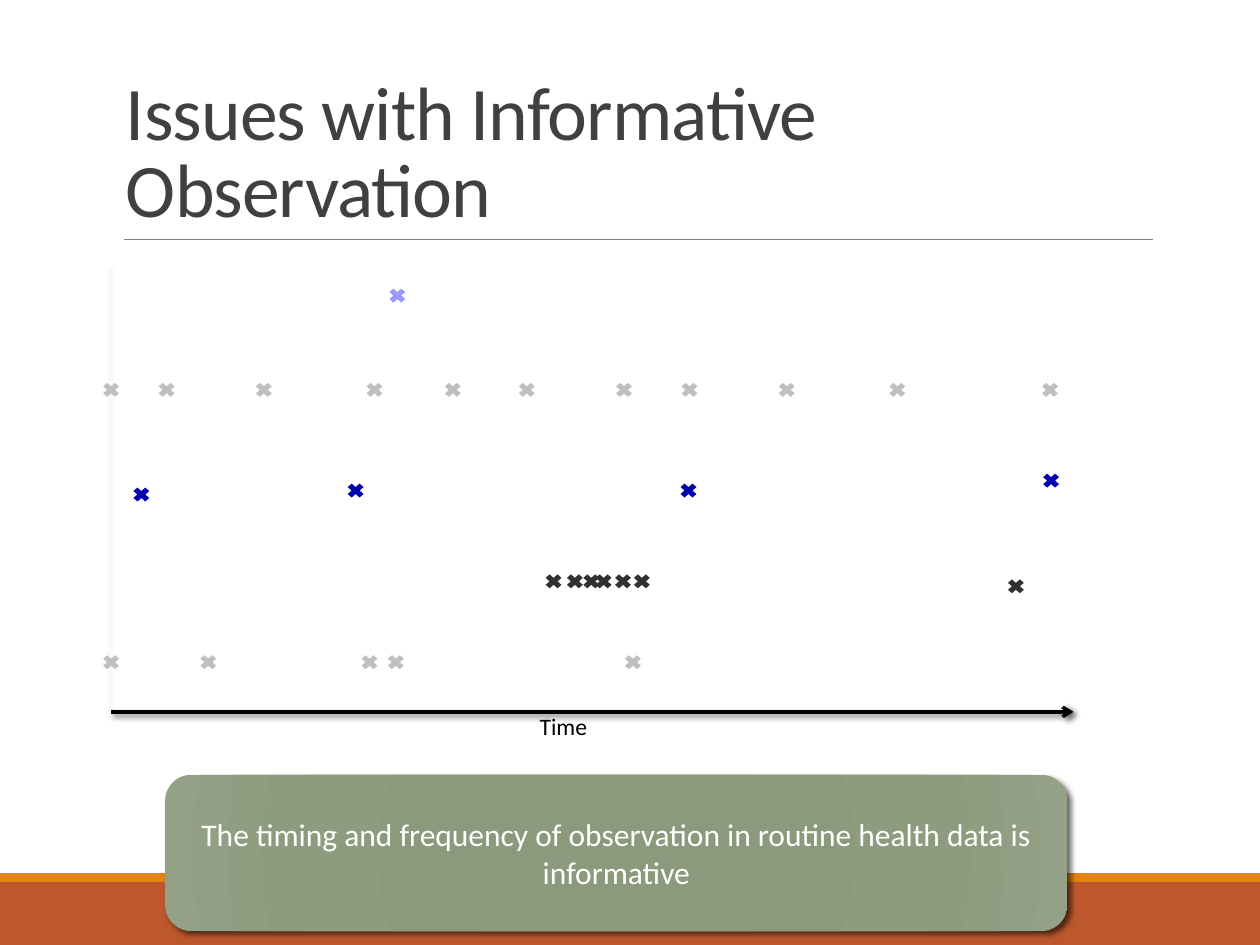
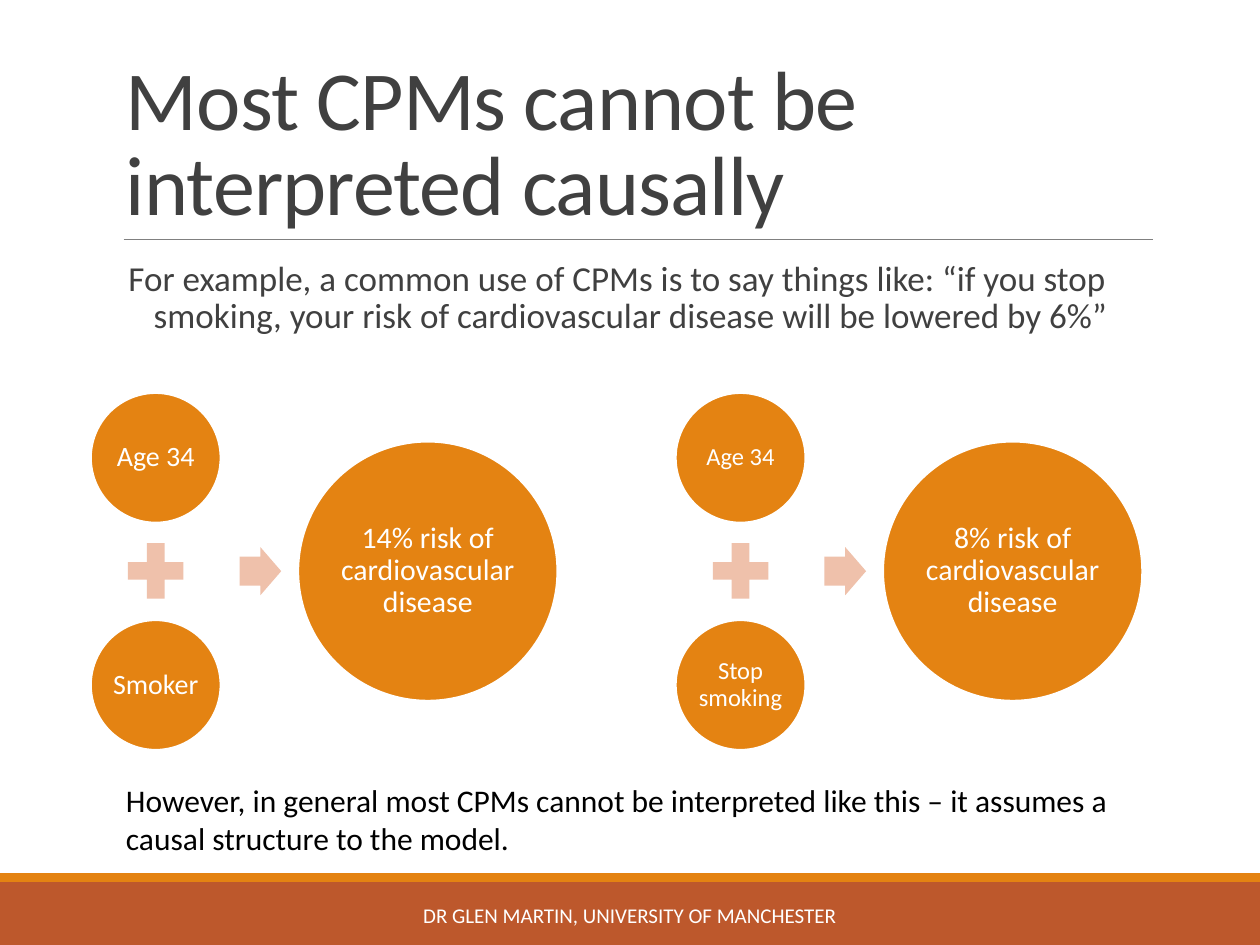
"""Build two slides on informative observation and causal reading of CPMs."""
from dataclasses import dataclass

import pptx
import pptx.dml.color
import pptx.enum.shapes
import pptx.enum.text
import pptx.oxml
import pptx.oxml.ns
import pptx.shapes.base
import pptx.slide
import pptx.text.text
import pptx.util

Cm = pptx.util.Cm
Pt = pptx.util.Pt
Kind = pptx.enum.shapes.MSO_SHAPE
Align = pptx.enum.text.PP_ALIGN
Anchor = pptx.enum.text.MSO_ANCHOR
Slide = pptx.slide.Slide
Base = pptx.shapes.base.BaseShape

FONT = "Calibri"
DARK, BLACK, WHITE = "404040", "000000", "FFFFFF"
RUST, ORANGE, PEACH = "BD582C", "E48312", "EFC1AB"
GREY, COAL, NAVY, LILAC = "BFBFBF", "313131", "0000AD", "9999FF"
RULE, PALE = "808080", "F9F9F9"
SAGE = ((0, "8A987B"), (34, "8B997D"), (70, "8D9C7E"), (100, "94A187"))
NS = pptx.oxml.ns.nsdecls("a")
CROSS = ((0, 1), (1, 0), (2, 1), (3, 0), (4, 1), (3, 2),
         (4, 3), (3, 4), (2, 3), (1, 4), (0, 3), (1, 2))


@dataclass(frozen=True)
class Box:
    left: float
    top: float
    width: float
    height: float

    def spread(self) -> tuple:
        return Cm(self.left), Cm(self.top), Cm(self.width), Cm(self.height)


@dataclass(frozen=True)
class Style:
    size: float
    ink: str = WHITE
    align: Align = Align.LEFT
    anchor: Anchor = Anchor.TOP
    space: float = 1.0
    pads: tuple = (0.25, 0.13, 0.25, 0.13)
    wrap: bool = True
    track: int = 0
    indent: tuple = (0, 0)


@dataclass(frozen=True)
class Row:
    ink: str
    top: float
    lefts: tuple


@dataclass(frozen=True)
class Model:
    left: float
    habit: str
    risk: str
    size: int


ROWS = (
    Row(LILAC, 5.82, (7.85,)),
    Row(GREY, 7.72, (2.08, 3.2, 5.16, 7.39, 8.97, 10.46, 12.42, 13.74, 15.7, 17.93, 21.01)),
    Row(NAVY, 9.55, (21.03,)),
    Row(NAVY, 9.75, (7.01, 13.72)),
    Row(NAVY, 9.83, (2.69,)),
    Row(COAL, 11.58, (11, 11.43, 11.76, 12.01, 12.4, 12.78)),
    Row(COAL, 11.68, (20.32,)),
    Row(GREY, 13.21, (2.08, 4.04, 7.29, 7.82, 12.6)),
)
MODELS = (
    Model(1.83, "Smoker", "14% risk of cardiovascular disease", 16),
    Model(13.62, "Stop smoking", "8% risk of cardiovascular disease", 14),
)


def tint(code: str) -> pptx.dml.color.RGBColor:
    return pptx.dml.color.RGBColor.from_string(code)


def write(shape: Base, text: str, style: Style) -> None:
    frame = shape.text_frame
    frame.text = text
    frame.word_wrap = style.wrap
    frame.vertical_anchor = style.anchor
    (frame.margin_left, frame.margin_top,
     frame.margin_right, frame.margin_bottom) = map(Cm, style.pads)
    for para in frame.paragraphs:
        para.alignment = style.align
        para.line_spacing = style.space
        props = para._p.get_or_add_pPr()
        props.set("marL", str(Cm(style.indent[0])))
        props.set("indent", str(Cm(style.indent[1])))
        for run in para.runs:
            run.font.name = FONT
            run.font.size = Pt(style.size)
            run.font.color.rgb = tint(style.ink)
            run._r.get_or_add_rPr().set("spc", str(style.track))


def label(slide: Slide, box: Box, text: str, style: Style) -> None:
    write(slide.shapes.add_textbox(*box.spread()), text, style)


def paint(shape: Base, fill: str, edge: str = "") -> None:
    shape.shadow.inherit = False
    shape.fill.solid()
    shape.fill.fore_color.rgb = tint(fill)
    if edge:
        shape.line.color.rgb = tint(edge)
        shape.line.width = Pt(1.25)
    else:
        shape.line.fill.background()


def block(slide: Slide, kind: Kind, box: Box, fill: str, edge: str = "") -> Base:
    shape = slide.shapes.add_shape(kind, *box.spread())
    paint(shape, fill, edge)
    return shape


def shade(shape: Base, blur: float = 0) -> None:
    props = shape.element.spPr
    for old in props.findall(pptx.oxml.ns.qn("a:effectLst")):
        props.remove(old)
    glow = (f'<a:outerShdw blurRad="{Pt(blur)}" dist="{Pt(2)}" dir="2700000" '
            f'rotWithShape="0"><a:srgbClr val="{BLACK}"><a:alpha val="60000"/>'
            '</a:srgbClr></a:outerShdw>') if blur else ""
    props.append(pptx.oxml.parse_xml(f"<a:effectLst {NS}>{glow}</a:effectLst>"))


def blend(shape: Base, stops: tuple) -> None:
    marks = "".join(f'<a:gs pos="{at * 1000}"><a:srgbClr val="{code}"/></a:gs>'
                    for at, code in stops)
    fill = pptx.oxml.parse_xml(
        f'<a:gradFill {NS} rotWithShape="1"><a:gsLst>{marks}</a:gsLst>'
        '<a:path path="circle"><a:fillToRect l="100000" t="100000" '
        'r="100000" b="100000"/></a:path></a:gradFill>')
    props = shape.element.spPr
    props.replace(props.find(pptx.oxml.ns.qn("a:solidFill")), fill)


def stroke(slide: Slide, start: tuple, end: tuple, ink: str, width: float,
           blur: float = 0, arrow: bool = False) -> None:
    line = slide.shapes.add_connector(
        pptx.enum.shapes.MSO_CONNECTOR.STRAIGHT, *map(Cm, start + end))
    line.line.color.rgb = tint(ink)
    line.line.width = Pt(width)
    if arrow:
        line.line._get_or_add_ln().append(
            pptx.oxml.parse_xml(f'<a:tailEnd {NS} type="arrow"/>'))
    shade(line, blur)


def cross(slide: Slide, left: float, top: float, ink: str) -> None:
    path = slide.shapes.build_freeform(*CROSS[0], scale=(Cm(0.08), Cm(0.07)))
    path.add_line_segments(CROSS[1:], close=True)
    paint(path.convert_to_shape(Cm(left), Cm(top)), ink)


def start(deck: pptx.presentation.Presentation, title: str, size: float) -> Slide:
    slide = deck.slides.add_slide(deck.slide_layouts[6])
    block(slide, Kind.RECTANGLE, Box(0, 17.78, 25.4, 1.27), RUST)
    block(slide, Kind.RECTANGLE, Box(0, 17.6, 25.4, 0.18), ORANGE)
    stroke(slide, (2.49, 4.83), (23.24, 4.83), RULE, 0.5)
    label(slide, Box(2.29, 0.79, 15.44, 4.04), title,
          Style(size, DARK, anchor=Anchor.BOTTOM, space=0.85, track=-50))
    return slide


def timing(deck: pptx.presentation.Presentation) -> None:
    slide = start(deck, "Issues with Informative Observation", 43.2)
    stroke(slide, (2.24, 5.41), (2.24, 14.35), PALE, 3)
    stroke(slide, (2.24, 14.35), (21.64, 14.35), BLACK, 2, blur=3, arrow=True)
    label(slide, Box(10.8, 14.35, 1.35, 0.74), "Time",
          Style(13.5, BLACK, pads=(0, 0, 0.08, 0), wrap=False, indent=(0.08, 0)))
    for row in ROWS:
        for left in row.lefts:
            cross(slide, left, row.top, row.ink)
    note = block(slide, Kind.ROUNDED_RECTANGLE, Box(3.33, 15.62, 18.19, 3.15), SAGE[0][1])
    blend(note, SAGE)
    shade(note, 3.5)
    write(note, "The timing and frequency of observation in routine health data is informative",
          Style(18, align=Align.CENTER, anchor=Anchor.MIDDLE))


def ball(slide: Slide, box: Box, text: str, size: int) -> None:
    write(block(slide, Kind.OVAL, box, ORANGE, WHITE), text,
          Style(size, align=Align.CENTER, anchor=Anchor.MIDDLE, space=0.9, pads=(0.05,) * 4))


def draw(slide: Slide, model: Model) -> None:
    left = model.left
    for top, text in ((7.92, "Age 34"), (12.5, model.habit)):
        ball(slide, Box(left, top, 2.62, 2.62), text, model.size)
    block(slide, Kind.MATH_PLUS, Box(left + 0.55, 10.75, 1.52, 1.52), PEACH)
    arrow = block(slide, Kind.RIGHT_ARROW, Box(left + 3, 11.03, 0.84, 0.97), PEACH)
    arrow.adjustments[0] = 0.6
    ball(slide, Box(left + 4.18, 8.9, 5.23, 5.23), model.risk, 17)


def cause(deck: pptx.presentation.Presentation) -> None:
    slide = start(deck, "Most CPMs cannot be interpreted causally", 48)
    label(slide, Box(2.29, 5.13, 20.95, 2.26),
          "For example, a common use of CPMs is to say things like: “if you stop "
          "smoking, your risk of cardiovascular disease will be lowered by 6%”",
          Style(20, DARK, space=0.9, pads=(0, 0.13, 0, 0.13), indent=(0.81, -0.51)))
    label(slide, Box(7.67, 17.93, 10.06, 1.02), "DR GLEN MARTIN, UNIVERSITY OF MANCHESTER",
          Style(12, align=Align.CENTER, anchor=Anchor.MIDDLE))
    for model in MODELS:
        draw(slide, model)
    label(slide, Box(2.29, 15.62, 20.95, 1.8),
          "However, in general most CPMs cannot be interpreted like this – it assumes "
          "a causal structure to the model.", Style(18, BLACK))


def main() -> None:
    deck = pptx.Presentation()
    deck.slide_width, deck.slide_height = Cm(25.4), Cm(19.05)
    timing(deck)
    cause(deck)
    deck.save("out.pptx")


if __name__ == "__main__":
    main()
